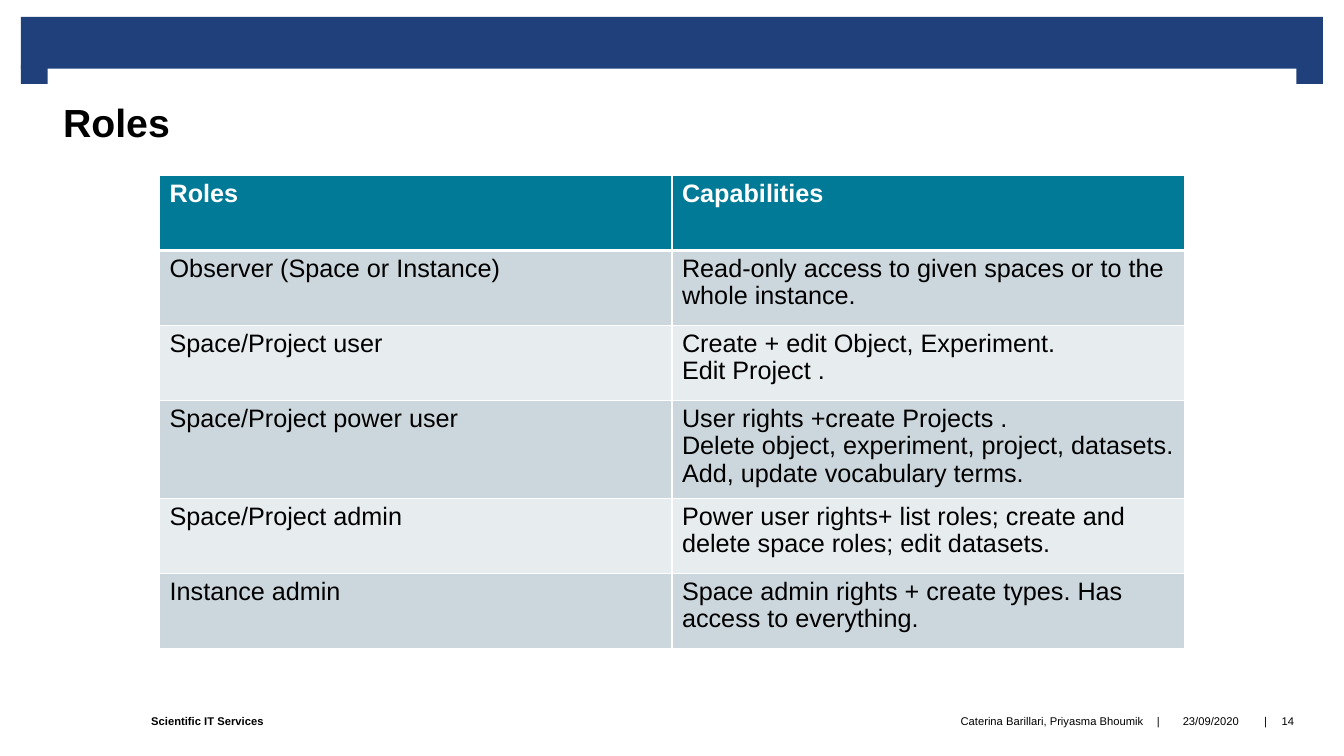
from dataclasses import dataclass
from typing import NamedTuple

from lxml.etree import SubElement
from pptx import Presentation
from pptx.dml.color import RGBColor
from pptx.enum.shapes import MSO_SHAPE as Shape
from pptx.enum.text import MSO_ANCHOR as Anchor, PP_ALIGN as Align
from pptx.oxml.ns import qn
from pptx.util import Pt


class Box(NamedTuple):
    left: float
    top: float
    width: float
    height: float

    def lengths(self):
        return [Pt(value) for value in self]


@dataclass(frozen=True)
class Theme:
    font: str = "Arial"
    black: str = "000000"
    white: str = "FFFFFF"
    banner: str = "1F407A"
    header: str = "007A96"
    bands: tuple = ("CCD7DD", "E7ECEF")
    title_size: float = 28
    table_size: float = 18
    footer_size: float = 8
    table_spacing: float = 0.97


THEME = Theme()

ROLES = [
    ("Roles", "Capabilities"),
    ("Observer (Space or Instance)",
     "Read-only access to given spaces or to the whole instance."),
    ("Space/Project user", "Create + edit Object, Experiment.\nEdit Project ."),
    ("Space/Project power user",
     "User rights +create Projects .\n"
     "Delete object, experiment, project, datasets.\n"
     "Add, update vocabulary terms."),
    ("Space/Project admin",
     "Power user rights+ list roles; create and delete space roles; edit datasets."),
    ("Instance admin",
     "Space admin rights + create types. Has access to everything."),
]


def style_paragraph(paragraph, size, color=THEME.black, bold=False):
    paragraph.font.name = THEME.font
    paragraph.font.size = Pt(size)
    paragraph.font.bold = bold
    paragraph.font.color.rgb = RGBColor.from_string(color)


def add_text(slide, box, text, size, align=Align.LEFT, bold=False, inset=0):
    shape = slide.shapes.add_textbox(*box.lengths())
    frame = shape.text_frame
    frame.word_wrap = True
    frame.vertical_anchor = Anchor.MIDDLE
    frame.margin_left = frame.margin_right = Pt(inset)
    frame.margin_top = frame.margin_bottom = 0
    paragraph = frame.paragraphs[0]
    paragraph.text = text
    paragraph.alignment = align
    style_paragraph(paragraph, size, bold=bold)
    return shape


def draw_banner(slide, box):
    bar_height, tab_top, tab_width = 37.4, 34.6, 19.4
    tab_height = box.height - tab_top
    tab_lefts = (box.left, box.left + box.width - tab_width)
    parts = [Box(box.left, box.top, box.width, bar_height)]
    parts += [Box(left, box.top + tab_top, tab_width, tab_height) for left in tab_lefts]
    for part in parts:
        shape = slide.shapes.add_shape(Shape.RECTANGLE, *part.lengths())
        shape.shadow.inherit = False
        shape.fill.solid()
        shape.fill.fore_color.rgb = RGBColor.from_string(THEME.banner)
        shape.line.fill.background()


def draw_footer(slide, box):
    parts = [
        (0, 372, "Scientific IT Services", Align.LEFT, True),
        (372, 337, "Caterina Barillari, Priyasma Bhoumik", Align.RIGHT, False),
        (714, 11, "|", Align.CENTER, False),
        (725, 64, "23/09/2020", Align.CENTER, False),
        (790.5, 11, "|", Align.CENTER, False),
        (798, 28, "14", Align.CENTER, False),
    ]
    for offset, width, text, align, bold in parts:
        part = Box(box.left + offset, box.top, width, box.height)
        add_text(slide, part, text, THEME.footer_size, align, bold)


def draw_title(slide, box, text):
    shape = add_text(slide, box, text, THEME.title_size, bold=True, inset=11.2)
    shape.fill.solid()
    shape.fill.fore_color.rgb = RGBColor.from_string(THEME.white)


def set_borders(cell, top, bottom):
    properties = cell._tc.get_or_add_tcPr()
    for side, width in (("L", 1), ("R", 1), ("T", top), ("B", bottom)):
        line = SubElement(properties, qn(f"a:ln{side}"), w=str(Pt(width)))
        fill = SubElement(line, qn("a:solidFill"))
        SubElement(fill, qn("a:srgbClr"), val=THEME.white)


def draw_roles_table(slide, box, rows):
    column_count = len(rows[0])
    table = slide.shapes.add_table(len(rows), column_count, *box.lengths()).table
    for column in table.columns:
        column.width = Pt(box.width / column_count)
    for row_index, texts in enumerate(rows):
        table.rows[row_index].height = Pt(box.height / len(rows))
        is_header = row_index == 0
        background = THEME.header if is_header else THEME.bands[(row_index - 1) % 2]
        color = THEME.white if is_header else THEME.black
        for column_index, text in enumerate(texts):
            cell = table.cell(row_index, column_index)
            set_borders(cell, 3 if row_index == 1 else 1, 3 if is_header else 1)
            cell.fill.solid()
            cell.fill.fore_color.rgb = RGBColor.from_string(background)
            cell.text_frame.text = text
            for paragraph in cell.text_frame.paragraphs:
                paragraph.line_spacing = THEME.table_spacing
                style_paragraph(paragraph, THEME.table_size, color, is_header)


def main():
    presentation = Presentation()
    presentation.slide_width, presentation.slide_height = Pt(960), Pt(540)
    slide = presentation.slides.add_slide(presentation.slide_layouts[6])
    draw_banner(slide, Box(15, 12, 930, 48))
    draw_footer(slide, Box(108, 497, 826, 36.5))
    draw_title(slide, Box(34, 49, 892, 76.5), "Roles")
    draw_roles_table(slide, Box(114, 125.5, 732, 321), ROLES)
    presentation.save("out.pptx")


if __name__ == "__main__":
    main()
